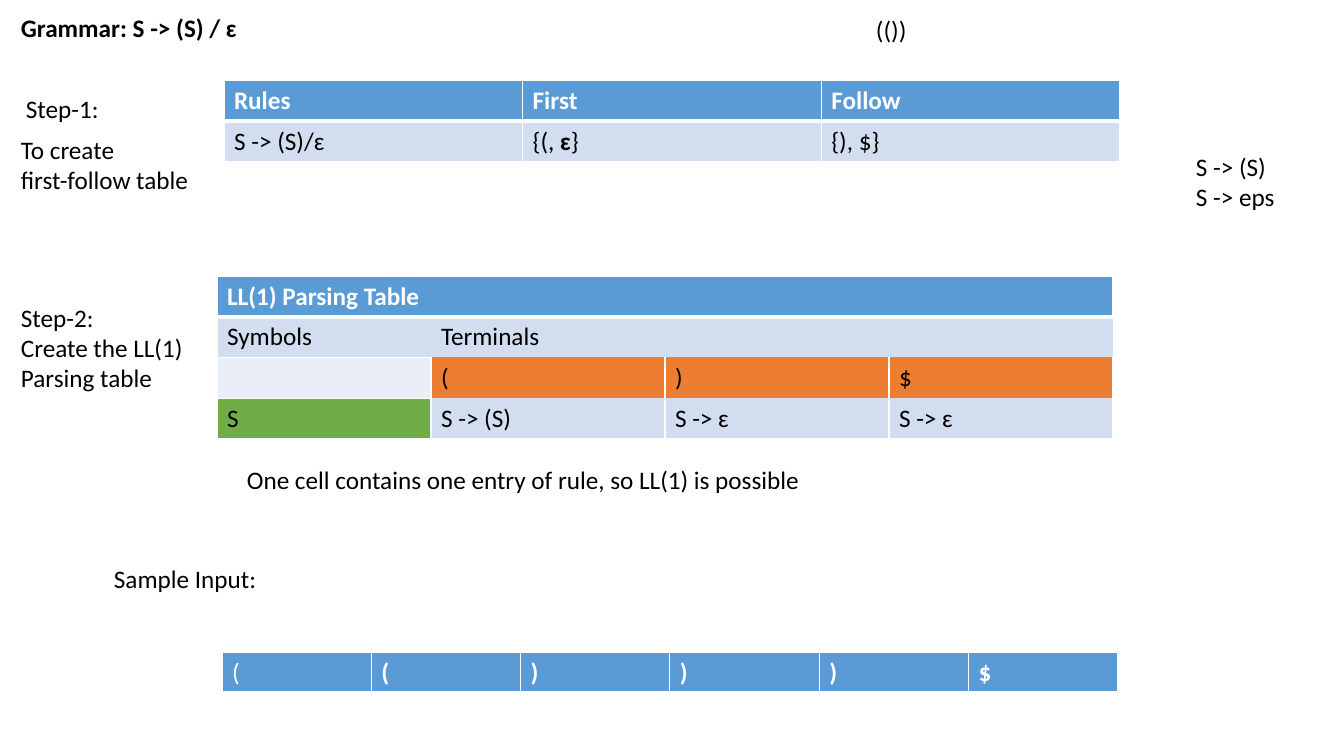
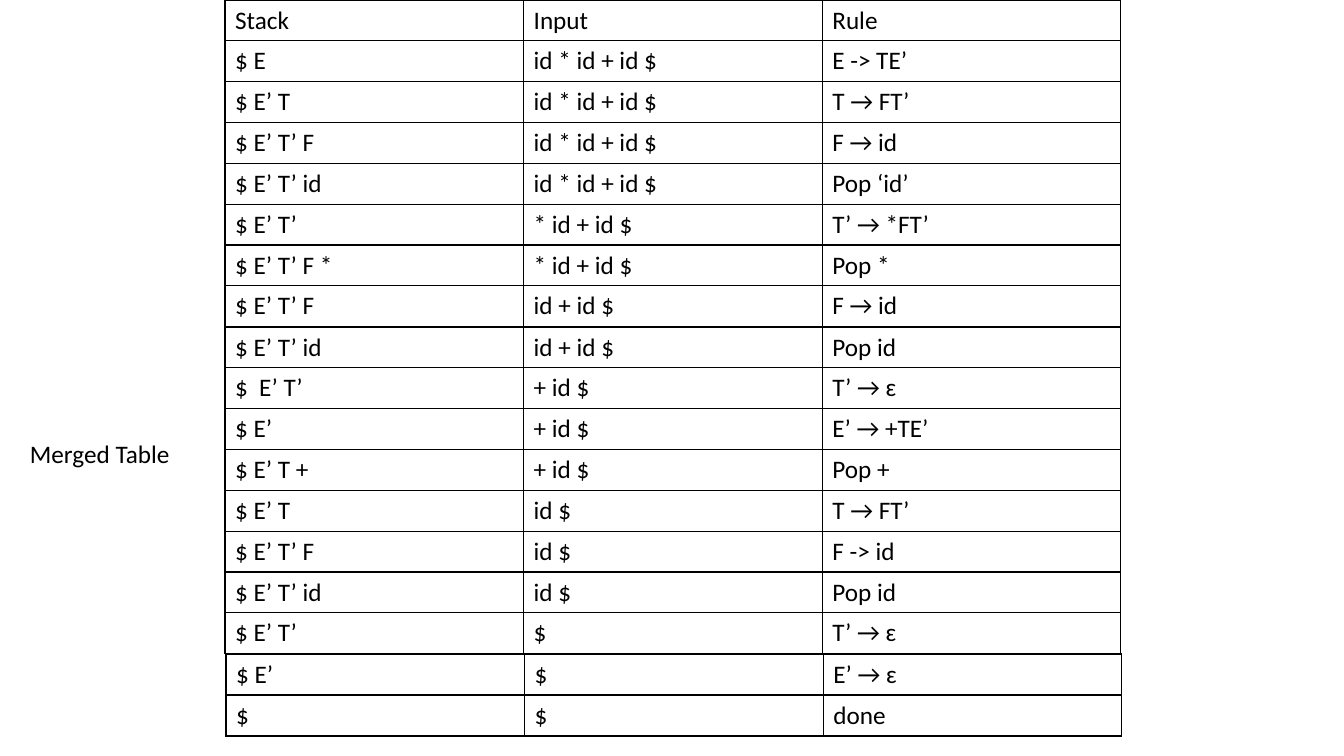
import pptx
import pptx.util
import pptx.dml.color
import pptx.enum.text
import pptx.oxml
import pptx.oxml.ns
import lxml.etree

SCALE = 914400 / 100.8
FONT = "Calibri"
SIZE = 18
NO_STYLE = "{2D5ABB26-0587-4C30-8999-92F81FD0307C}"
C = {
    "text": "000000",
    "white": "FFFFFF",
    "head": "5B9BD5",
    "band": "D2DEEF",
    "pale": "EAEFF7",
    "terminal": "ED7D31",
    "symbol": "70AD47",
}


def px(n):
    return pptx.util.Emu(round(n * SCALE))


def rgb(name):
    return pptx.dml.color.RGBColor.from_string(C[name])


def write(p, text, color="text"):
    p.font.name = FONT
    p.font.size = pptx.util.Pt(SIZE)
    for i, part in enumerate(text.split("**")):
        if part:
            r = p.add_run()
            r.text = part
            r.font.bold = i % 2 == 1
            r.font.color.rgb = rgb(color)


def add_label(s, box, *lines):
    tf = s.shapes.add_textbox(*map(px, box)).text_frame
    tf.word_wrap = False
    tf.auto_size = pptx.enum.text.MSO_AUTO_SIZE.SHAPE_TO_FIT_TEXT
    for i, line in enumerate(lines):
        write(tf.add_paragraph() if i else tf.paragraphs[0], line)


def set_border(cell, side, color, width):
    qn = pptx.oxml.ns.qn
    ln = lxml.etree.Element(qn("a:ln" + side), w=str(pptx.util.Pt(width)))
    fill = lxml.etree.SubElement(ln, qn("a:solidFill"))
    lxml.etree.SubElement(fill, qn("a:srgbClr"), val=C[color])
    return ln


def set_borders(cell, sides, color, bottom):
    tc_pr = cell._tc.get_or_add_tcPr()
    for i, side in enumerate(sides):
        width = bottom if side == "B" else 1
        tc_pr.insert(i, set_border(cell, side, color, width))


def add_grid(s, box, rows, fills=None, widths=None, line="text", sides=None, head=False):
    x, y, w, h = box
    n_cols = len(rows[0])
    shape = s.shapes.add_table(len(rows), n_cols, px(x), px(y), px(w), px(h))
    table = shape.table
    table.first_row = table.horz_banding = False
    table._tbl.tblPr.find(pptx.oxml.ns.qn("a:tableStyleId")).text = NO_STYLE
    for i, col in enumerate(table.columns):
        col.width = px(widths[i] if widths else w / n_cols)
    for i, row in enumerate(rows):
        table.rows[i].height = px(h / len(rows))
        for j, text in enumerate(row):
            cell = table.cell(i, j)
            is_head = head and i == 0
            write(cell.text_frame.paragraphs[0], text, "white" if is_head else "text")
            if fills:
                cell.fill.solid()
                cell.fill.fore_color.rgb = rgb(fills[i][j])
            else:
                cell.fill.background()
            edges = (sides or {}).get((i, j), "LRTB")
            if head and i == 1:
                edges = edges.replace("T", "")
            set_borders(cell, edges, line, 3 if is_head else 1)
    return table


def add_first_follow(s, box):
    add_grid(s, box, [
        ["**Rules**", "**First**", "**Follow**"],
        ["S -> (S)/ɛ", "{(, **ɛ**}", "{), $}"],
    ], [["head"] * 3, ["band"] * 3], line="white", head=True)


def add_parsing_table(s, box):
    sides = {(1, 0): "LTB"}
    for j in (1, 2, 3):
        sides.update({(1, j): "", (2, j): "LR", (3, j): "LRB"})
    table = add_grid(s, box, [
        ["**LL(1) Parsing Table**", "", "", ""],
        ["Symbols", "Terminals", "", ""],
        ["", "(", ")", "$"],
        ["S", "S -> (S)", "S -> ɛ", "S -> ɛ"],
    ], [
        ["head"] * 4,
        ["band"] * 4,
        ["pale"] + ["terminal"] * 3,
        ["symbol"] + ["band"] * 3,
    ], widths=[214, 234, 224, 224], line="white", sides=sides, head=True)
    table.cell(0, 0).merge(table.cell(0, 3))
    table.cell(1, 1).merge(table.cell(1, 3))


def add_sample_input(s, box):
    tokens = ["("] + [f"**{t}**" for t in "()))$"[:1] + ")))$"]
    add_grid(s, box, [tokens], [["head"] * 6], line="white", head=True)


def grammar_slide(s):
    add_label(s, (11, 7, 239, 40), "**Grammar: S -> (S) / ɛ**")
    add_parsing_table(s, (217, 276, 896, 163))
    add_label(s, (104, 558, 164, 40), "Sample Input:")
    add_sample_input(s, (222, 652, 896, 41))
    add_first_follow(s, (224, 80, 896, 82))
    add_label(s, (237, 459, 580, 40),
              "One cell contains one entry of rule, so LL(1) is possible")
    add_label(s, (16, 88, 94, 40), "Step-1:")
    add_label(s, (11, 129, 191, 72), "To create", "first-follow table")
    add_label(s, (11, 297, 184, 102), "Step-2:", "Create the LL(1)", "Parsing table")
    add_label(s, (866, 9, 51, 40), "(())")
    add_label(s, (1186, 146, 100, 72), "S -> (S)", "S -> eps")


def trace_slide(s):
    trace = [
        ["Stack", "Input", "Rule"],
        ["$ E", "id * id + id $", "E -> TE’"],
        ["$ E’ T", "id * id + id $", "T → FT’"],
        ["$ E’ T’ F", "id * id + id $", "F → id"],
        ["$ E’ T’ id", "id * id + id $", "Pop ‘id’"],
        ["$ E’ T’", "* id + id $", "T’ → *FT’"],
        ["$ E’ T’ F *", "* id + id $", "Pop *"],
        ["$ E’ T’ F", "id + id $", "F → id"],
        ["$ E’ T’ id", "id + id $", "Pop id"],
        ["$  E’ T’", "+ id $", "T’ → ɛ"],
        ["$ E’", "+ id $", "E’ → +TE’"],
        ["$ E’ T +", "+ id $", "Pop +"],
        ["$ E’ T", "id $", "T → FT’"],
        ["$ E’ T’ F", "id $", "F -> id"],
        ["$ E’ T’ id", "id $", "Pop id"],
        ["$ E’ T’", "$", "T’ → ɛ"],
        ["$ E’", "$", "E’ → ɛ"],
        ["$", "$", "done"],
    ]
    add_grid(s, (225, 0, 896, 327), trace[:8])
    add_grid(s, (225, 327, 896, 327), trace[8:16])
    add_grid(s, (226, 654, 896, 82), trace[16:])
    add_label(s, (20, 433, 161, 40), "Merged Table")


prs = pptx.Presentation()
prs.slide_width, prs.slide_height = px(1344), px(756)
for build in (grammar_slide, trace_slide):
    build(prs.slides.add_slide(prs.slide_layouts[6]))
prs.save("out.pptx")
